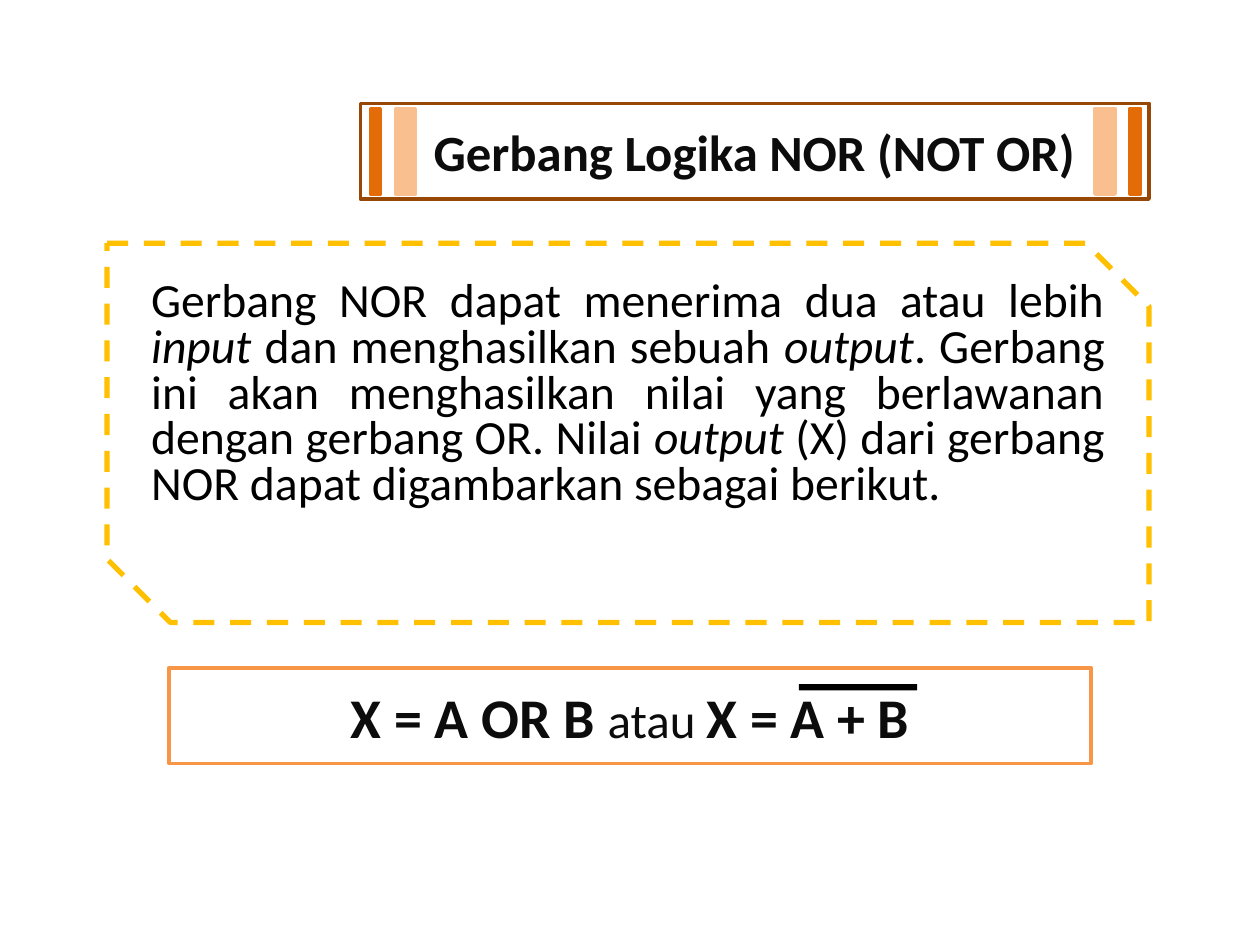
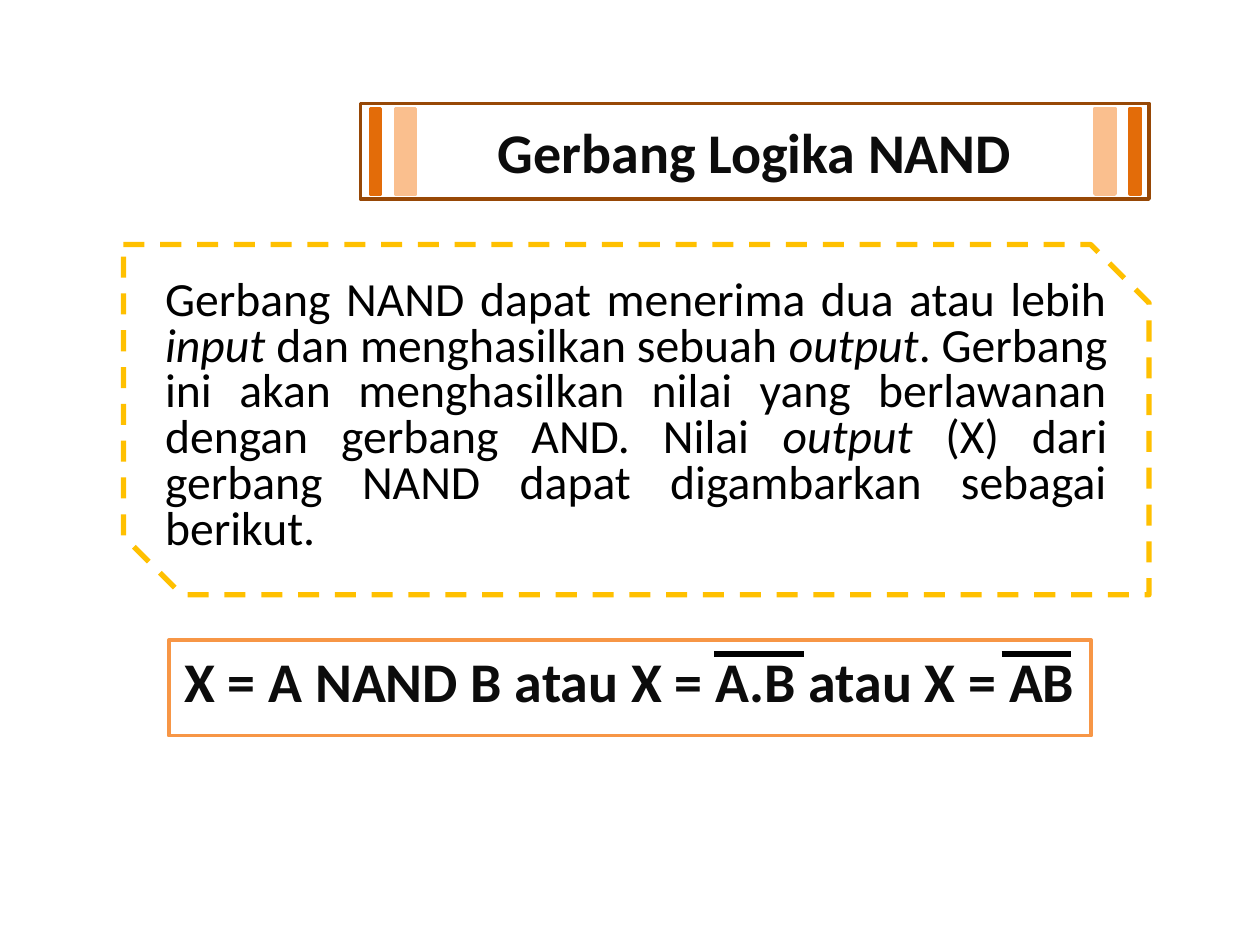
import pptx
import pptx.util
import pptx.dml.color
import pptx.enum.dml
import pptx.enum.shapes
import pptx.enum.text
import pptx.oxml.ns
import lxml.etree

PX = 9144  # one px is a hundredth of an inch
FONT = "Calibri"
INK, BLACK, WHITE = "0C0C0C", "000000", "FFFFFF"
BROWN, ORANGE, PEACH, GOLD, AMBER = "974806", "E36C09", "FABF8E", "FFC000", "F79646"

ALIGN = pptx.enum.text.PP_ALIGN
ANCHOR = pptx.enum.text.MSO_ANCHOR
SHAPE = pptx.enum.shapes.MSO_SHAPE

TITLE_AREA = (286, 82, 626, 76)
# left, width, colour of each stripe on the title band
STRIPES = [(294, 8, ORANGE), (314, 16, PEACH), (869, 16, PEACH), (897, 8, ORANGE)]

# Asterisks enclose italic words
DESCRIPTION = ("Gerbang {gate} dapat menerima dua atau lebih *input* dan menghasilkan "
               "sebuah *output*. Gerbang ini akan menghasilkan nilai yang berlawanan "
               "dengan gerbang {base}. Nilai *output* (X) dari gerbang {gate} dapat "
               "digambarkan sebagai berikut.")


def px(*lengths):
    return [pptx.util.Emu(length * PX) for length in lengths]


def rgb(color):
    return pptx.dml.color.RGBColor.from_string(color)


def add_span(para, text, size=32, color=INK, bold=True, italic=False):
    span = para.add_run()
    span.text = text
    font = span.font
    font.name, font.size, font.color.rgb = FONT, pptx.util.Pt(size), rgb(color)
    font.bold, font.italic = bold, italic


class GateDeck:
    """Holds the deck's style and the current page."""

    def __init__(self):
        self.deck = pptx.Presentation()
        self.deck.slide_width, self.deck.slide_height = px(1000, 750)
        self.page = None

    def paint(self, box, fill=None, line=None, weight=2):
        if fill:
            box.fill.solid()
            box.fill.fore_color.rgb = rgb(fill)
        else:
            box.fill.background()
        if line:
            box.line.color.rgb = rgb(line)
            box.line.width = pptx.util.Pt(weight)
        else:
            box.line.fill.background()

    def shape(self, area, kind=SHAPE.RECTANGLE, **style):
        box = self.page.shapes.add_shape(kind, *px(*area))
        box.shadow.inherit = False
        self.paint(box, **style)
        return box

    def paragraph(self, box, align=ALIGN.CENTER, anchor=ANCHOR.MIDDLE):
        frame = box.text_frame
        frame.word_wrap = True
        frame.auto_size = pptx.enum.text.MSO_AUTO_SIZE.NONE
        frame.vertical_anchor = anchor
        frame.margin_left, frame.margin_right = px(10, 10)
        frame.margin_top, frame.margin_bottom = px(5, 5)
        para = frame.paragraphs[0]
        para.alignment = align
        return para

    def new_page(self, title, size):
        self.page = self.deck.slides.add_slide(self.deck.slide_layouts[5])
        band = self.page.shapes.title
        band.left, band.top, band.width, band.height = px(*TITLE_AREA)
        self.paint(band, fill=WHITE, line=BROWN)
        add_span(self.paragraph(band), title, size=size)
        for left, width, color in STRIPES:
            self.shape((left, 86, width, 68), fill=color, line=color)

    def description(self, area, gate, base):
        box = self.shape(area, SHAPE.SNIP_2_DIAG_RECTANGLE, line=GOLD, weight=3)
        box.adjustments[0], box.adjustments[1] = 0, 0.167
        box.line.dash_style = pptx.enum.dml.MSO_LINE.DASH
        para = self.paragraph(box, ALIGN.JUSTIFY, ANCHOR.TOP)
        para.line_spacing = 0.8
        parts = DESCRIPTION.format(gate=gate, base=base).split("*")
        for index, part in enumerate(parts):
            add_span(para, part, size=27.2, color=BLACK, bold=False, italic=index % 2 == 1)

    def formula(self, top, anchor=ANCHOR.MIDDLE):
        box = self.shape((134, top, 732, 76), fill=WHITE, line=AMBER)
        return self.paragraph(box, anchor=anchor)

    def overline(self, start, end, y):
        line = self.page.shapes.add_connector(
            pptx.enum.shapes.MSO_CONNECTOR.STRAIGHT, *px(start, y, end, y))
        line.line.color.rgb = rgb(BLACK)
        line.line.width = pptx.util.Pt(3)
        lxml.etree.SubElement(line._element.spPr, pptx.oxml.ns.qn("a:effectLst"))


def main():
    gates = GateDeck()

    # NOR gate
    gates.new_page("Gerbang Logika NOR (NOT OR)", size=29)
    gates.description((85, 193, 827, 301), gate="NOR", base="OR")
    para = gates.formula(530)
    add_span(para, "X = A OR B ")
    add_span(para, "atau ", size=28, bold=False)
    add_span(para, "X = A + B")
    gates.shape((634, 543, 94, 5), fill=BLACK)

    # NAND gate
    gates.new_page("Gerbang Logika NAND", size=32)
    gates.description((98, 194, 814, 278), gate="NAND", base="AND")
    para = gates.formula(508, ANCHOR.TOP)
    add_span(para, "X = A NAND B atau X = A.B atau X = AB")
    for start, end in [(567, 638), (795, 850)]:
        gates.overline(start, end, 519)

    gates.deck.save("out.pptx")


if __name__ == "__main__":
    main()
